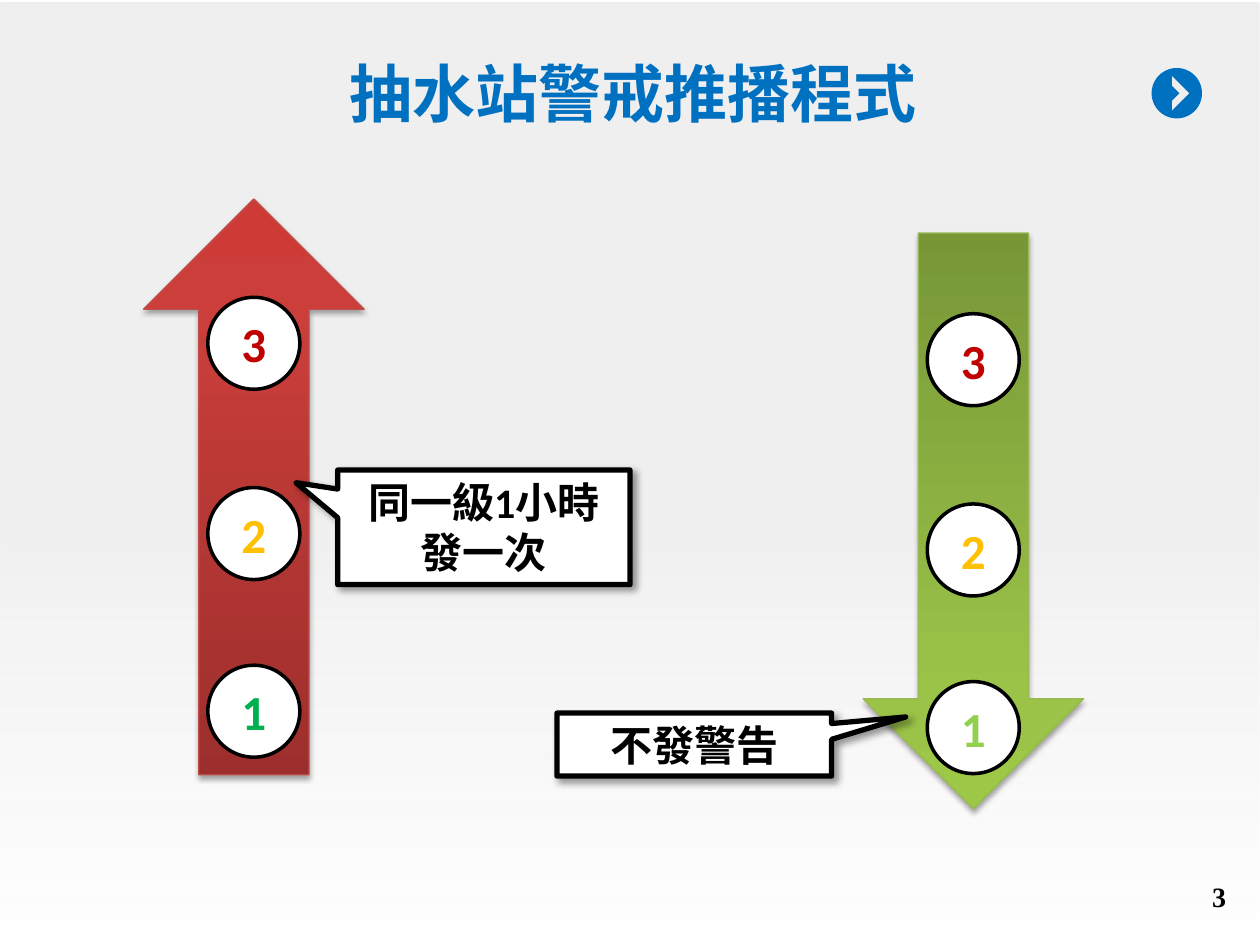
import math

import pptx
import pptx.dml.color
import pptx.enum.shapes
import pptx.enum.text
import pptx.oxml
import pptx.oxml.ns
import pptx.util
from pptx.util import Inches, Pt

SHAPE = pptx.enum.shapes.MSO_SHAPE
ALIGN = pptx.enum.text.PP_ALIGN
ANCHOR = pptx.enum.text.MSO_ANCHOR
CJK = "Noto Sans CJK SC"

COLORS = {
    "blue": "0070C0", "black": "000000", "white": "FFFFFF", "red": "C00000",
    "amber": "FFC000", "green": "00B050", "lime": "92D050", "backdrop": "EFEFEF",
    "red_edge": "BF4C48", "lime_edge": "98B955",
}
TITLE = "抽水站警戒推播程式"
PAGE = "3"
BACKDROP_STOPS = [(0, COLORS["backdrop"], 100), (52, COLORS["backdrop"], 100),
                  (100, COLORS["backdrop"], 0)]

# Each arrow: left, top, rotation, gradient stops, edge, colour of level 1
ARROW_SIZE = (1.75, 4.57)
ARROWS = [
    (1.14, 1.58, 0, [(0, "9C2F2D", 100), (80, "CB3E3A", 100), (100, "CE3B37", 100)],
     "red_edge", "green"),
    (6.85, 1.85, 180, [(0, "779737", 100), (80, "9BC348", 100), (100, "9DC746", 100)],
     "lime_edge", "lime"),
]
LEVEL_SIZE = 0.73
LEVEL_TOPS = {"1": 5.28, "2": 3.87, "3": 2.36}
LEVEL_DROP = 0.13  # the falling arrow's levels sit lower by this much

# Each callout: box, pointer tip relative to the centre, lines
CALLOUTS = [
    ((2.68, 3.73, 2.32, 0.91), (-0.643, -0.389), ["同一級1小時", "發一次"]),
    ((4.42, 5.66, 2.18, 0.5), (0.77, -0.438), ["不發警告"]),
]
ARROW_SHADOW = (35, 3.1, 1.8, 90)
CALLOUT_SHADOW = (40, 4, 3, 45)

BADGE_CENTER, BADGE_RADIUS = (9.34, 0.74), 0.2
CHEVRON = [(9.44, 0.74), (9.3, 0.88), (9.3, 0.8), (9.36, 0.74), (9.3, 0.68), (9.3, 0.6)]


def rgb(name):
    """Return the named colour."""
    return pptx.dml.color.RGBColor.from_string(COLORS[name])


def element(tag, parent, **attributes):
    """Append a DrawingML element to parent and return it."""
    child = pptx.oxml.parse_xml(f"<a:{tag} {pptx.oxml.ns.nsdecls('a')}/>")
    for key, value in attributes.items():
        child.set(key, str(value))
    parent.append(child)
    return child


def color_element(parent, value, alpha):
    """Append an RGB colour with an opacity in percent."""
    color = element("srgbClr", parent, val=value)
    if alpha < 100:
        element("alpha", color, val=alpha * 1000)


def write(frame, lines, size, color, align=ALIGN.CENTER, font="Calibri",
          anchor=ANCHOR.MIDDLE):
    """Fill a text frame with bold paragraphs."""
    frame.word_wrap = True
    frame.vertical_anchor = anchor
    for index, line in enumerate(lines):
        paragraph = frame.paragraphs[0] if index == 0 else frame.add_paragraph()
        paragraph.alignment = align
        run = paragraph.add_run()
        run.text = line
        run.font.name, run.font.size, run.font.bold = font, Pt(size), True
        run.font.color.rgb = rgb(color)
        element("ea", run.font._element, typeface=CJK)


def add_plain(slide, kind, box, line=None, width=0):
    """Add a white preset shape without shadow; box is in inches."""
    shape = slide.shapes.add_shape(kind, *map(Inches, box))
    shape.shadow.inherit = False
    shape.fill.solid()
    shape.fill.fore_color.rgb = rgb("white")
    if line:
        shape.line.color.rgb = rgb(line)
        shape.line.width = Pt(width)
    else:
        shape.line.fill.background()
    return shape


def set_gradient(shape, stops, angle):
    """Give a shape a linear gradient; angle runs counterclockwise."""
    shape.fill.gradient()
    shape.fill.gradient_angle = angle
    stop_list = shape._element.spPr.find(".//" + pptx.oxml.ns.qn("a:gsLst"))
    for old in list(stop_list):
        stop_list.remove(old)
    for position, value, alpha in stops:
        color_element(element("gs", stop_list, pos=position * 1000), value, alpha)


def set_shadow(shape, alpha, blur, distance, angle):
    """Give a shape a black outer shadow."""
    effects = shape._element.spPr.find(pptx.oxml.ns.qn("a:effectLst"))
    shadow = element("outerShdw", effects, blurRad=int(Pt(blur)), dist=int(Pt(distance)),
                     dir=angle * 60000, rotWithShape=0)
    color_element(shadow, COLORS["black"], alpha)


def add_badge(slide):
    """Add the round badge with a chevron cut out of it."""
    circle = [(BADGE_CENTER[0] + BADGE_RADIUS * math.cos(math.radians(a)),
               BADGE_CENTER[1] - BADGE_RADIUS * math.sin(math.radians(a)))
              for a in range(0, 360, 5)]
    outer, inner = [[(Inches(x), Inches(y)) for x, y in points]
                    for points in (circle, CHEVRON)]
    builder = slide.shapes.build_freeform(*outer[0])
    builder.add_line_segments(outer[1:], close=True)
    builder.move_to(*inner[0])
    builder.add_line_segments(inner[1:], close=True)
    badge = builder.convert_to_shape()
    badge.shadow.inherit = False
    badge.fill.solid()
    badge.fill.fore_color.rgb = rgb("blue")
    badge.line.fill.background()


presentation = pptx.Presentation()
presentation.slide_width, presentation.slide_height = Inches(10), Inches(7.5)
slide = presentation.slides.add_slide(presentation.slide_layouts[5])

backdrop = add_plain(slide, SHAPE.RECTANGLE, (0, 0.02, 10, 7.48))
set_gradient(backdrop, BACKDROP_STOPS, 270)
slide.shapes._spTree.insert(2, backdrop._element)

page = slide.shapes.add_textbox(*map(Inches, (7.5, 6.91, 2.33, 0.4)))
write(page.text_frame, [PAGE], 16, "black", ALIGN.RIGHT, "Times New Roman")

title = slide.shapes.title
title.left, title.top, title.width, title.height = map(Inches, (0.81, 0.38, 8.43, 0.71))
write(title.text_frame, [TITLE], 36, "blue", font=CJK)
add_badge(slide)

for left, top, rotation, stops, edge, _ in ARROWS:
    arrow = add_plain(slide, SHAPE.UP_ARROW, (left, top, *ARROW_SIZE), edge, 0.75)
    arrow.rotation = rotation
    set_gradient(arrow, stops, 90)
    set_shadow(arrow, *ARROW_SHADOW)

for index, (left, _, _, _, _, first_color) in enumerate(ARROWS):
    level_left = left + (ARROW_SIZE[0] - LEVEL_SIZE) / 2
    level_colors = {"1": first_color, "2": "amber", "3": "red"}
    for level, top in LEVEL_TOPS.items():
        box = (level_left, top + index * LEVEL_DROP, LEVEL_SIZE, LEVEL_SIZE)
        circle = add_plain(slide, SHAPE.FLOWCHART_CONNECTOR, box, "black", 2)
        write(circle.text_frame, [level], 28, level_colors[level])

for box, tip, lines in CALLOUTS:
    callout = add_plain(slide, SHAPE.RECTANGULAR_CALLOUT, box, "black", 3)
    callout.adjustments[0], callout.adjustments[1] = tip
    set_shadow(callout, *CALLOUT_SHADOW)
    write(callout.text_frame, lines, 24, "black", anchor=ANCHOR.TOP)

presentation.save("out.pptx")
